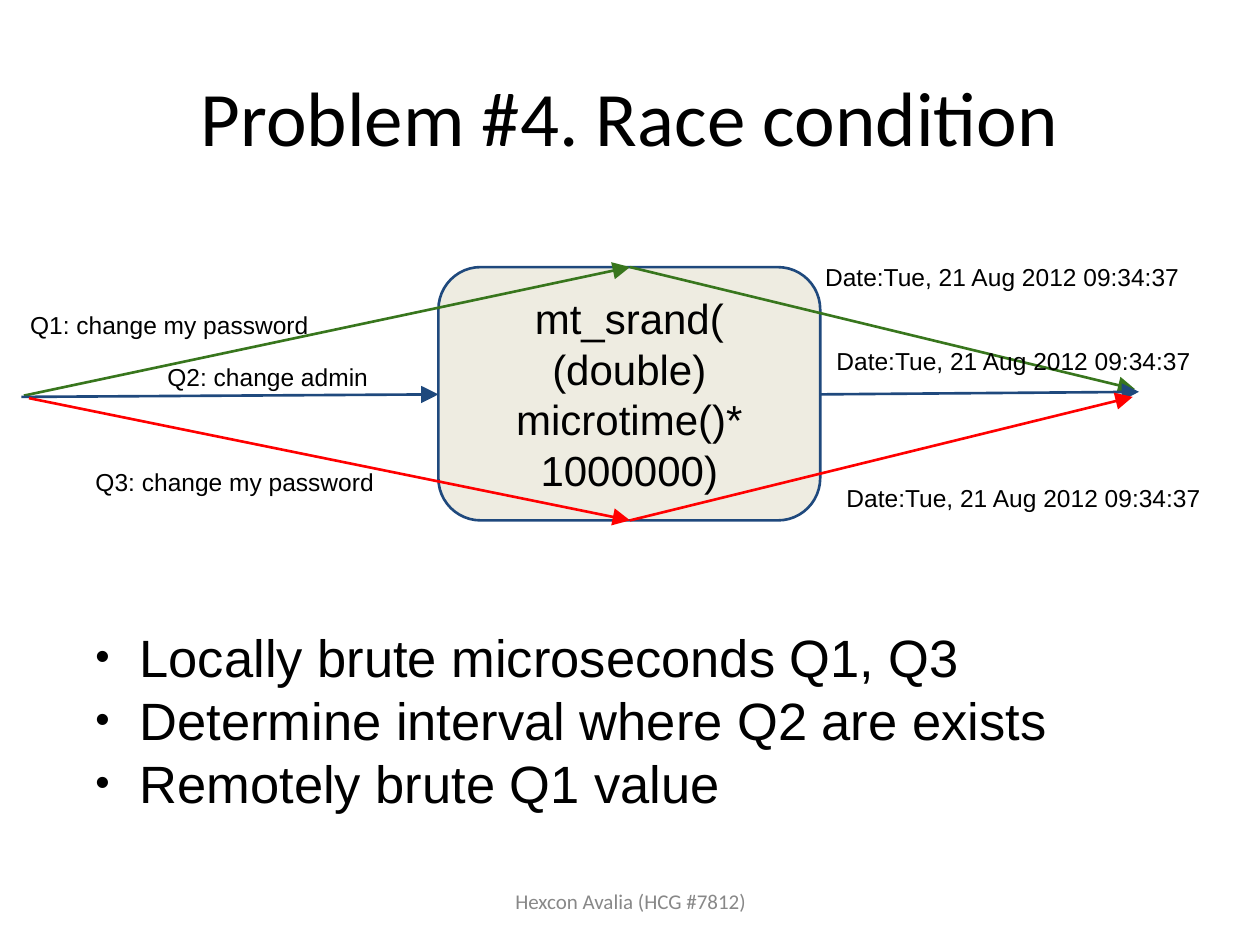
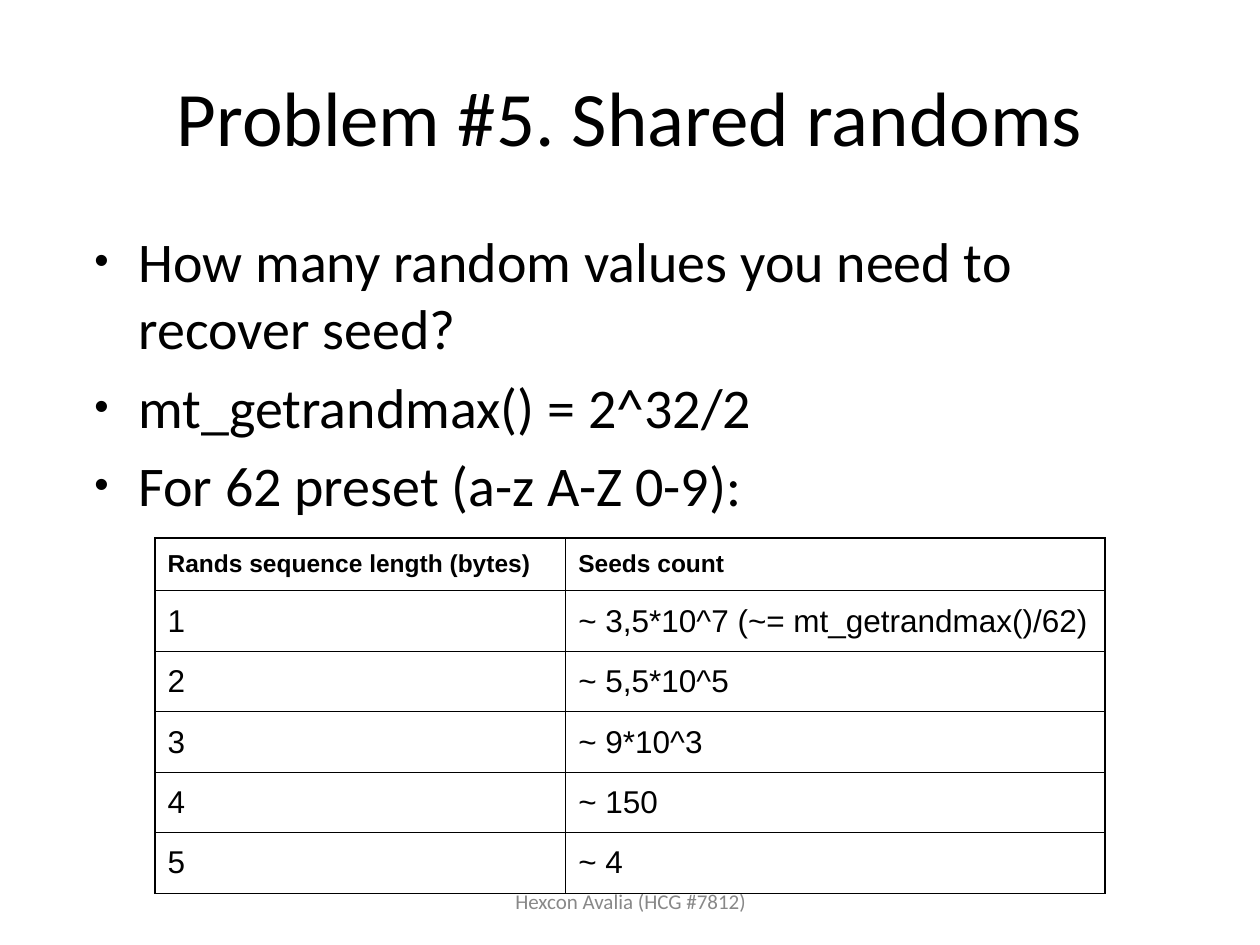
from dataclasses import dataclass

from lxml import etree
from pptx import Presentation
from pptx import util as u
from pptx.dml.color import RGBColor
from pptx.enum import shapes, text
from pptx.oxml import ns


@dataclass(frozen=True)
class Theme:
    """Colours, fonts and type sizes shared by the slides."""
    ink: str = "000000"
    muted: str = "888888"
    navy: str = "1F497D"
    green: str = "38761D"
    red: str = "FF0000"
    cream: str = "EEECE1"
    heading_font: str = "Calibri"
    plain_font: str = "Arial"
    title: int = 44
    body: int = 32
    findings: int = 30
    code: int = 24
    cell: int = 18
    label: int = 14
    footer: int = 12
    line: float = 1.5
    border: float = 0.75


theme = Theme()
CENTER = text.PP_ALIGN.CENTER
MIDDLE = text.MSO_ANCHOR.MIDDLE


def add_xml(parent, tag, **attributes):
    """Append a drawing element to parent and return it."""
    return etree.SubElement(parent, ns.qn(f"a:{tag}"), attributes)


def write_text(frame, lines, size, font=theme.plain_font, color=theme.ink, bold=False,
               align=None, anchor=None, inset=0.1, bullet=None, before=0):
    """Fill a text frame, one paragraph a line; bullet is its size in percent."""
    side, edge = u.Inches(0.1), u.Inches(inset)
    frame_format = {"word_wrap": True, "vertical_anchor": anchor, "margin_left": side,
                    "margin_right": side, "margin_top": edge, "margin_bottom": edge}
    for name, value in frame_format.items():
        setattr(frame, name, value)
    for index, line in enumerate(lines):
        paragraph = frame.add_paragraph() if index else frame.paragraphs[0]
        paragraph.alignment = align
        paragraph.space_before = u.Pt(before)
        run = paragraph.add_run()
        run.text = line
        for name, value in {"size": u.Pt(size), "name": font, "bold": bold}.items():
            setattr(run.font, name, value)
        run.font.color.rgb = RGBColor.from_string(color)
        if bullet:
            properties = paragraph._p.get_or_add_pPr()
            properties.set("marL", str(u.Inches(0.5)))
            properties.set("indent", str(u.Inches(-0.35)))
            add_xml(add_xml(properties, "buClr"), "srgbClr", val=theme.ink)
            add_xml(properties, "buSzPct", val=str(bullet * 1000))
            add_xml(properties, "buFont", typeface=theme.plain_font)
            add_xml(properties, "buChar", char="•")


presentation = Presentation()
presentation.slide_width = u.Inches(10)
presentation.slide_height = u.Inches(7.5)

# Title and footer of every slide
slides = []
for title in ("Problem #4. Race condition", "Problem #5. Shared randoms"):
    slide = presentation.slides.add_slide(presentation.slide_layouts[6])
    slides.append(slide)
    for place, line, size, color in (
            ((0.5, 0.5, 9, 0.84), title, theme.title, theme.ink),
            ((3.42, 6.95, 3.17, 0.4), "Hexcon Avalia (HCG #7812)", theme.footer, theme.muted)):
        box = slide.shapes.add_textbox(*map(u.Inches, place))
        write_text(box.text_frame, [line], size, theme.heading_font, color,
                   align=CENTER, anchor=MIDDLE, inset=0.05)
race_slide, randoms_slide = slides

# Race condition: three requests meet one seeding call
left, top, width, height = 3.48, 2.12, 3.03, 2.01
center, middle, right, bottom = 5, 3.13, left + width, top + height
seed_box = race_slide.shapes.add_shape(
    shapes.MSO_SHAPE.ROUNDED_RECTANGLE, *map(u.Inches, (left, top, width, height)))
seed_box.shadow.inherit = False
seed_box.fill.solid()
seed_box.fill.fore_color.rgb = RGBColor.from_string(theme.cream)
seed_box.line.color.rgb = RGBColor.from_string(theme.navy)
seed_box.line.width = u.Pt(theme.line)
write_text(seed_box.text_frame, ["mt_srand(", "(double) microtime()* 1000000)"],
           theme.code, align=CENTER, anchor=MIDDLE)

arrows = (
    ((0.19, 3.14), (center, top), theme.green),
    ((0.17, 3.15), (left, middle), theme.navy),
    ((0.23, 3.16), (center, bottom), theme.red),
    ((center, top), (9.01, 3.09), theme.green),
    ((right, middle), (9.04, 3.11), theme.navy),
    ((center, bottom), (8.99, 3.15), theme.red),
)
for start, end, color in arrows:
    arrow = race_slide.shapes.add_connector(
        shapes.MSO_CONNECTOR.STRAIGHT, *map(u.Inches, start + end))
    arrow.line.color.rgb = RGBColor.from_string(color)
    arrow.line.width = u.Pt(theme.line)
    add_xml(arrow.line._get_or_add_ln(), "tailEnd", type="triangle", w="lg", len="lg")
    add_xml(arrow._element.spPr, "effectLst")

date = "Date:Tue, 21 Aug 2012 09:34:37"
labels = (
    ((0.14, 2.36, 2.78, 0.36), "Q1: change my password"),
    ((1.23, 2.77, 2.32, 0.36), "Q2: change admin"),
    ((0.66, 3.61, 2.64, 0.36), "Q3: change my password"),
    ((6.45, 1.98, 3.42, 0.5), date),
    ((6.54, 2.65, 3.23, 0.5), date),
    ((6.62, 3.73, 3.23, 0.5), date),
)
for place, line in labels:
    label = race_slide.shapes.add_textbox(*map(u.Inches, place))
    write_text(label.text_frame, [line], theme.label)

findings = race_slide.shapes.add_textbox(*map(u.Inches, (0.51, 4.86, 9.23, 1.92)))
write_text(findings.text_frame,
           ["Locally brute microseconds Q1, Q3",
            "Determine interval where Q2 are exists",
            "Remotely brute Q1 value"],
           theme.findings, bullet=78)

# Shared randoms: the question and the seed counts
question = randoms_slide.shapes.add_textbox(*map(u.Inches, (0.5, 1.75, 9, 2.44)))
write_text(question.text_frame,
           ["How many random values you need to recover seed?",
            "mt_getrandmax() = 2^32/2",
            "For 62 preset (a-z A-Z 0-9):"],
           theme.body, theme.heading_font, inset=0.05, bullet=73, before=6.4)

seed_counts = (
    ("Rands sequence length (bytes)", "Seeds count"),
    ("1", "~ 3,5*10^7 (~= mt_getrandmax()/62)"),
    ("2", "~ 5,5*10^5"),
    ("3", "~ 9*10^3"),
    ("4", "~ 150"),
    ("5", "~ 4"),
)
# The bottom margin is small enough for the text to fit its row, so no row grows
cell_margins = {"left": 0.1, "right": 0.1, "top": 0.1, "bottom": 0.06}
table = randoms_slide.shapes.add_table(
    len(seed_counts), 2, *map(u.Inches, (1.23, 4.27, 7.54, 2.82))).table
table.first_row = table.horz_banding = False
for column, column_width in zip(table.columns, (3.26, 4.28)):
    column.width = u.Inches(column_width)
for row_index, values in enumerate(seed_counts):
    header = row_index == 0
    table.rows[row_index].height = u.Inches(0.42 if header else 0.48)
    for column_index, value in enumerate(values):
        cell = table.cell(row_index, column_index)
        # Cell margins replace the text frame margins
        write_text(cell.text_frame, [value], theme.label if header else theme.cell, bold=header)
        for side, margin in cell_margins.items():
            setattr(cell, f"margin_{side}", u.Inches(margin))
        properties = cell._tc.get_or_add_tcPr()
        for tag in ("lnL", "lnR", "lnT", "lnB"):
            border = add_xml(properties, tag, w=str(u.Pt(theme.border)))
            add_xml(add_xml(border, "solidFill"), "srgbClr", val=theme.ink)
        cell.fill.background()

presentation.save("out.pptx")
